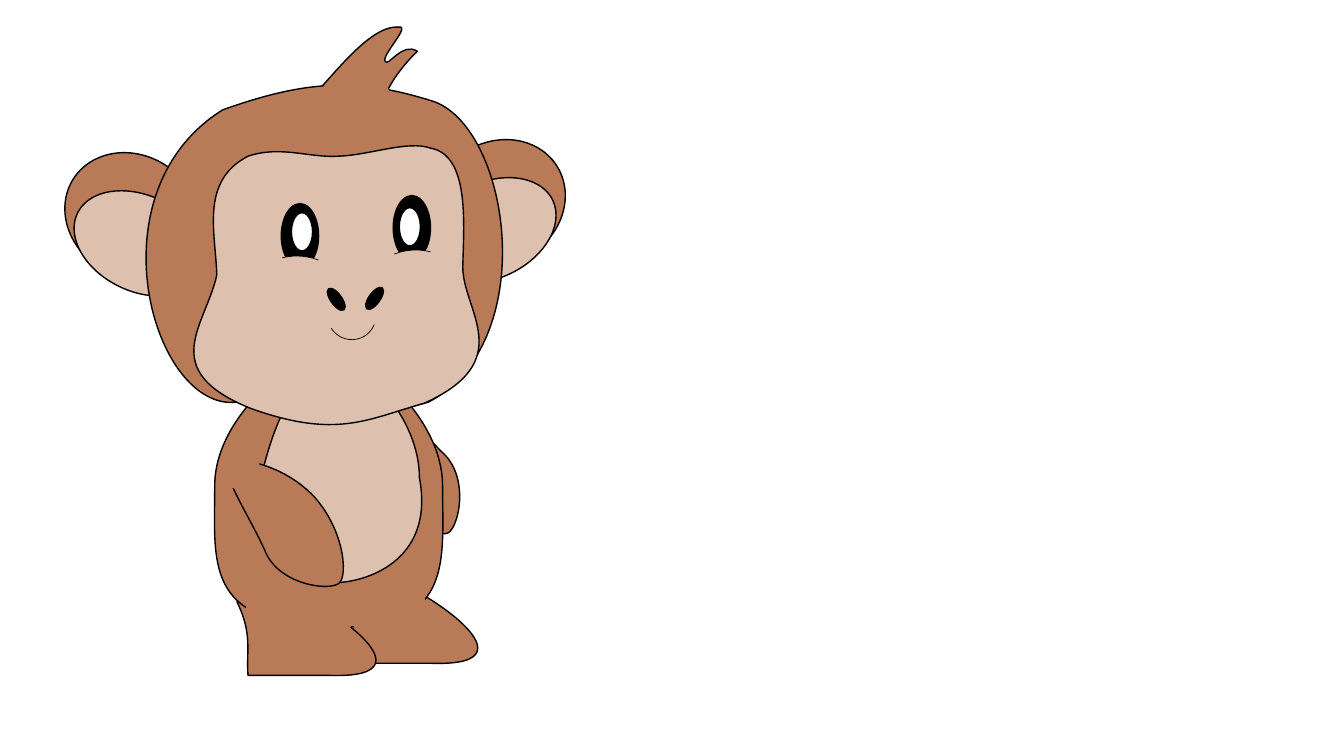
import pptx
import pptx.dml.color
import pptx.enum.shapes
import pptx.oxml.ns
import pptx.oxml.xmlchemy
import pptx.util

Inches = pptx.util.Inches
qn = pptx.oxml.ns.qn
OxmlElement = pptx.oxml.xmlchemy.OxmlElement
PRESET = pptx.enum.shapes.MSO_SHAPE

COLORS = {"fur": "B97A57", "skin": "DDC0AE", "black": "000000", "white": "FFFFFF"}

# Outlines: a start point, then lines (x, y) or curves (control, control, end)
FAR_ARM = [(4.4, 4.5), (4.15, 4.26, 3.82, 3.82, 3.7, 3.86), (3.59, 3.9, 3.51, 4.36, 3.72, 4.76),
           (3.92, 5.15, 4.32, 5.33, 4.44, 5.29), (4.55, 5.24, 4.66, 4.75, 4.4, 4.5)]
FAR_LEG = [(3.75, 5.72), (3.37, 5.85), (3.52, 6.18, 3.46, 6.34, 3.47, 6.58), (4.26, 6.58),
           (5.51, 6.63, 3.94, 5.67, 3.75, 5.72)]
NEAR_LEG = [(2.74, 5.83), (2.35, 5.97), (2.51, 6.3, 2.44, 6.46, 2.46, 6.7), (3.25, 6.7),
            (4.5, 6.75, 2.93, 5.79, 2.74, 5.83)]
BODY = [(2.13, 4.82), (2.13, 4.05, 3.09, 3.44, 3.26, 3.42), (3.44, 3.4, 4.39, 4.05, 4.39, 4.82),
        (4.39, 5.59, 4.51, 6.26, 3.26, 6.22), (2.02, 6.18, 2.13, 5.59, 2.13, 4.82)]
BELLY = [(2.59, 4.74), (2.76, 3.98, 3.07, 3.58, 3.33, 3.58), (3.59, 3.58, 4.16, 4.13, 4.16, 4.74),
         (4.32, 5.59, 3.59, 5.78, 3.33, 5.78), (3.07, 5.78, 2.43, 5.5, 2.59, 4.74)]
TUFT = [(3.04, 0.99), (3.15, 0.98, 3.62, 0.24, 3.95, 0.27), (4.09, 0.24, 3.78, 0.55, 3.82, 0.61),
        (3.85, 0.67, 3.99, 0.41, 4.14, 0.51), (4.06, 0.58, 3.84, 0.83, 3.81, 1),
        (3.98, 1.56), (3.04, 1.56), (3.04, 0.99)]
HEAD = [(2.21, 1.09), (3.05, 0.79, 3.56, 0.77, 4.31, 1.01), (5.07, 1.3, 5.36, 3.4, 4.25, 3.99),
        (3.61, 4.16, 3.29, 4.34, 2.35, 3.99), (1.52, 4.09, 0.89, 1.91, 2.21, 1.09)]
FACE = [(2.46, 1.55), (2.79, 1.44, 3.07, 1.57, 3.36, 1.55), (3.66, 1.54, 4.05, 1.39, 4.27, 1.47),
        (4.66, 1.54, 4.6, 2.22, 4.59, 2.65), (4.59, 3.08, 5.14, 3.58, 4.21, 4),
        (3.64, 4.16, 3.34, 4.36, 2.48, 4.05), (1.55, 3.67, 2.04, 3.23, 2.15, 2.73),
        (2.14, 2.31, 1.98, 1.8, 2.46, 1.55)]
FAR_HIP = [(4.2, 5.88), (4.14, 5.73, 4.01, 5.68, 3.74, 5.75), (3.46, 5.82, 3.42, 6.01, 3.48, 6.16),
           (3.54, 6.32, 3.75, 6.38, 3.95, 6.3), (4.15, 6.22, 4.26, 6.04, 4.2, 5.88)]
TUFT_ROOT = [(3.14, 0.98), (3.23, 0.77, 3.37, 0.68, 3.64, 0.73), (3.91, 0.79, 3.92, 1.04, 3.84, 1.26),
             (3.76, 1.47, 3.53, 1.58, 3.34, 1.5), (3.15, 1.43, 3.06, 1.2, 3.14, 0.98)]
NEAR_HIP = [(2.97, 5.81), (3.26, 5.83, 3.43, 5.92, 3.48, 6.14), (3.52, 6.35, 3.22, 6.42, 2.93, 6.4),
            (2.64, 6.38, 2.42, 6.24, 2.43, 6.08), (2.44, 5.91, 2.68, 5.8, 2.97, 5.81)]
NEAR_ARM = [(2.64, 5.49), (2.5, 5.16, 2.19, 4.71, 2.27, 4.61), (2.35, 4.52, 2.8, 4.6, 3.11, 4.92),
            (3.41, 5.25, 3.45, 5.69, 3.37, 5.78), (3.29, 5.87, 2.79, 5.81, 2.64, 5.49)]
SHOULDER = [(2.34, 4.36), (2.24, 4.38, 2.18, 4.46, 2.19, 4.64), (2.2, 4.82, 2.31, 4.87, 2.42, 4.85),
            (2.52, 4.84, 2.59, 4.71, 2.57, 4.58), (2.55, 4.44, 2.44, 4.35, 2.34, 4.36)]

# Back to front: outline, fill, line width / ellipse box, fill, rotation
LIMBS = [(FAR_ARM, "fur", 1), (FAR_LEG, "fur", 1), (NEAR_LEG, "fur", 1),
         (BODY, "fur", 1), (BELLY, "skin", 1), (TUFT, "fur", 1)]
EARS = [((0.62, 1.54, 1.38, 1.21), "fur", 32.2), ((0.7, 1.94, 1.38, 0.95), "skin", 25.7),
        ((4.25, 1.41, 1.38, 1.21), "fur", 327.8), ((4.17, 1.81, 1.38, 0.95), "skin", 334.3)]
HEAD_PARTS = [(HEAD, "fur", 1), (FACE, "skin", 1), (FAR_HIP, "fur", 0)]
EYES_AND_NOSE = [((3.9, 1.94, 0.37, 0.64), "black", 0), ((2.79, 2.02, 0.37, 0.64), "black", 0),
                 ((2.89, 2.11, 0.21, 0.38), "white", 0), ((3.96, 2.06, 0.21, 0.38), "white", 0),
                 ((3.28, 2.84, 0.11, 0.26), "black", 324.1), ((3.66, 2.83, 0.11, 0.26), "black", 35.9)]
FRONT_PARTS = [(TUFT_ROOT, "fur", 0), (NEAR_HIP, "fur", 0), (NEAR_ARM, "fur", 1), (SHOULDER, "fur", 0)]
# Arc box, fill, rotation, flip attribute, adjustments
EYELID = (189.76, 211.3)
ARCS = [((3.54, 2.48, 1.17, 1.17), "skin", 60.7, "flipH", EYELID),
        ((3.25, 2.89, 0.48, 0.48), None, 43.9, "flipV", (153.54, 13.04)),
        ((2.36, 2.54, 1.17, 1.17), "skin", 299.3, None, EYELID)]


def color(name):
    return pptx.dml.color.RGBColor.from_string(COLORS[name])


def style(shape, fill, line_width):
    shape.shadow.inherit = False
    if fill:
        shape.fill.solid()
        shape.fill.fore_color.rgb = color(fill)
    else:
        shape.fill.background()
    if line_width:
        shape.line.color.rgb = color("black")
        shape.line.width = pptx.util.Pt(line_width)
    else:
        shape.line.fill.background()


def pairs(numbers):
    return list(zip(numbers[::2], numbers[1::2]))


def sample(outline, steps=24):
    """Points along the outline, which give its true bounds."""
    points = [outline[0]]
    for segment in outline[1:]:
        if len(segment) == 2:
            points.append(segment)
            continue
        corners = [points[-1]] + pairs(segment)
        for step in range(1, steps + 1):
            t = step / steps
            weights = ((1 - t) ** 3, 3 * t * (1 - t) ** 2, 3 * t * t * (1 - t), t ** 3)
            points.append(tuple(sum(w * corner[axis] for w, corner in zip(weights, corners))
                                for axis in (0, 1)))
    return points


def add_outline(shapes, outline, fill, line_width):
    points = [(Inches(x), Inches(y)) for x, y in sample(outline)]
    builder = shapes.build_freeform(*points[0], scale=1.0)
    builder.add_line_segments(points[1:], close=True)
    shape = builder.convert_to_shape()

    # Put true curves in place of the sampled lines
    path = shape._element.find(".//" + qn("a:path"))
    for command in list(path):
        path.remove(command)
    for index, segment in enumerate(outline):
        tag = "a:moveTo" if index == 0 else "a:lnTo" if len(segment) == 2 else "a:cubicBezTo"
        command = OxmlElement(tag)
        path.append(command)
        for x, y in pairs(segment):
            point = OxmlElement("a:pt")
            point.set("x", str(Inches(x) - shape.left))
            point.set("y", str(Inches(y) - shape.top))
            command.append(point)
    path.append(OxmlElement("a:close"))
    style(shape, fill, line_width)


def add_preset(shapes, preset, box, fill, rotation, line_width):
    shape = shapes.add_shape(preset, *map(Inches, box))
    shape.rotation = rotation
    style(shape, fill, line_width)
    return shape


def main():
    presentation = pptx.Presentation()
    presentation.slide_width, presentation.slide_height = Inches(13.33), Inches(7.5)
    slide = presentation.slides.add_slide(presentation.slide_layouts[6])
    monkey = slide.shapes.add_group_shape().shapes

    # Body, ears, head and face, from back to front
    for outlines, ellipses in ((LIMBS, EARS), (HEAD_PARTS, EYES_AND_NOSE), (FRONT_PARTS, [])):
        for part in outlines:
            add_outline(monkey, *part)
        for part in ellipses:
            add_preset(monkey, PRESET.OVAL, *part, line_width=1)

    # Eyelids and mouth
    for box, fill, rotation, flip, adjustments in ARCS:
        arc = add_preset(monkey, PRESET.ARC, box, fill, rotation, line_width=0.5)
        for index, value in enumerate(adjustments):
            arc.adjustments[index] = value
        if flip:
            arc._element.spPr.find(qn("a:xfrm")).set(flip, "1")

    presentation.save("out.pptx")


if __name__ == "__main__":
    main()
